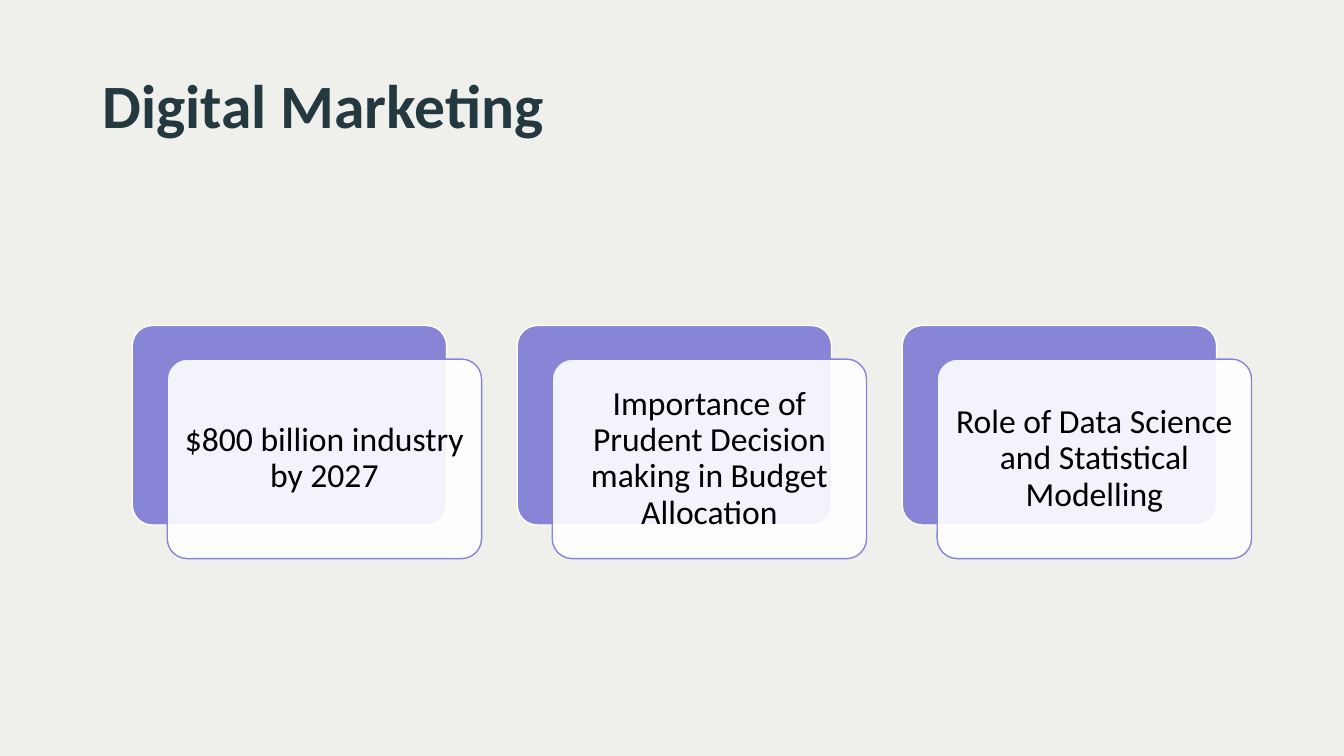
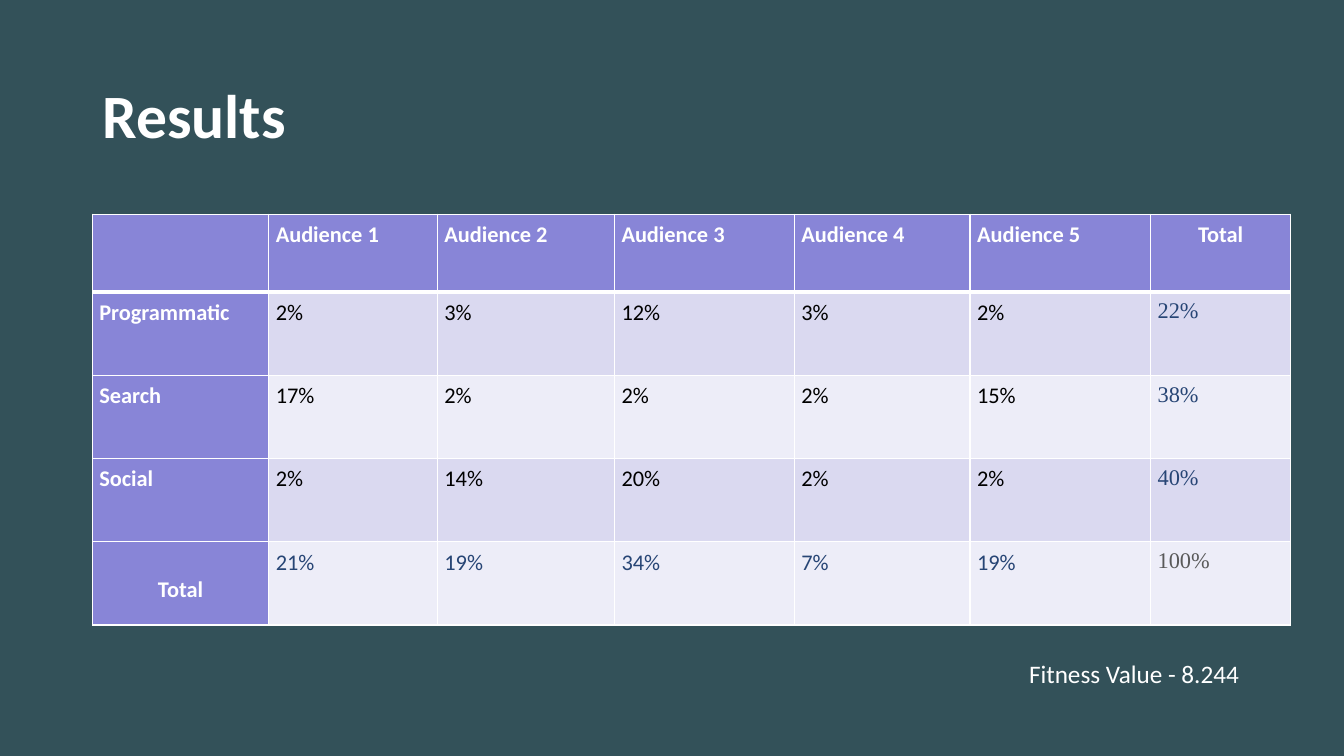
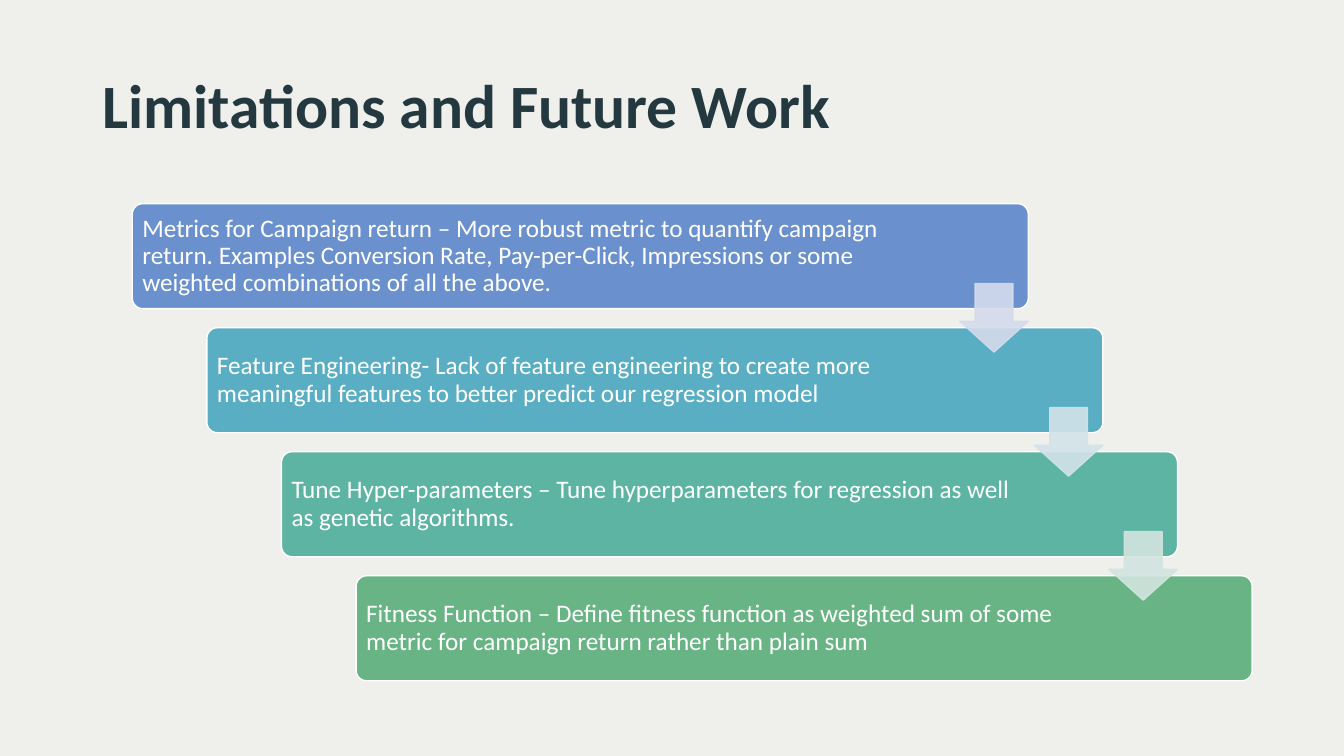
from pptx import Presentation
from pptx.dml.color import RGBColor
from pptx.enum.shapes import MSO_SHAPE
from pptx.enum.text import MSO_ANCHOR, MSO_AUTO_SIZE, PP_ALIGN
from pptx.oxml.ns import qn
from pptx.util import Pt
from lxml import etree

ROUNDED = MSO_SHAPE.ROUNDED_RECTANGLE
DOWN_ARROW = MSO_SHAPE.DOWN_ARROW
TOP, MIDDLE = MSO_ANCHOR.TOP, MSO_ANCHOR.MIDDLE
LEFT, CENTER = PP_ALIGN.LEFT, PP_ALIGN.CENTER
NO_AUTOFIT = MSO_AUTO_SIZE.NONE

COLORS = {
    "light": "EFEFEB", "dark": "335159", "title": "24393F",
    "white": "FFFFFF", "black": "000000", "violet": "8885D7",
    "band_odd": "DAD9F0", "band_even": "EDEDF8",
    "total": "274575", "grand_total": "595959",
    "blue": "6A90CE", "cyan": "5AAEC3", "teal": "5DB4A2", "green": "68B484",
    "pale_blue": "D4DBED", "pale_cyan": "D2E3E9", "pale_teal": "D2E5E0",
}
BODY_FONT = "Calibri"
TOTAL_FONT = "Times New Roman"
TITLE_ONLY = 5

CARDS = [
    "$800 billion industry by 2027",
    "Importance of Prudent Decision making in Budget Allocation",
    "Role of Data Science and Statistical Modelling",
]
RESULTS = [
    ["", "Audience 1", "Audience 2", "Audience 3", "Audience 4", "Audience 5", "Total"],
    ["Programmatic", "2%", "3%", "12%", "3%", "2%", "22%"],
    ["Search", "17%", "2%", "2%", "2%", "15%", "38%"],
    ["Social", "2%", "14%", "20%", "2%", "2%", "40%"],
    ["Total", "21%", "19%", "34%", "7%", "19%", "100%"],
]
COLUMN_WIDTHS = [126, 120.5, 126.5, 128.5, 125.5, 129, 100]
ROW_HEIGHTS = [55.5] + [59.5] * 4
STEPS = [
    ("Metrics for Campaign return – More robust metric to quantify campaign return. "
     "Examples Conversion Rate, Pay-per-Click, Impressions or some weighted "
     "combinations of all the above.", "blue", "pale_blue"),
    ("Feature Engineering- Lack of feature engineering to create more meaningful "
     "features to better predict our regression model", "cyan", "pale_cyan"),
    ("Tune Hyper-parameters – Tune hyperparameters for regression as well as "
     "genetic algorithms.", "teal", "pale_teal"),
    ("Fitness Function – Define fitness function as weighted sum of some metric "
     "for campaign return rather than plain sum", "green", None),
]


def color(name):
    return RGBColor.from_string(COLORS[name])


def place(item, left, top, width, height):
    item.left, item.top = Pt(left), Pt(top)
    item.width, item.height = Pt(width), Pt(height)


def write(frame, text, size=18, ink="white", font=BODY_FONT, bold=False,
          align=LEFT, spacing=1.0):
    para = frame.paragraphs[0]
    para.alignment = align
    para.line_spacing = spacing
    span = para.add_run()
    span.text = text
    span.font.size = Pt(size)
    span.font.name = font
    span.font.bold = bold
    span.font.color.rgb = color(ink)


def set_insets(target, left, top, right, bottom):
    target.margin_left, target.margin_top = Pt(left), Pt(top)
    target.margin_right, target.margin_bottom = Pt(right), Pt(bottom)


def set_background(target, name):
    target.background.fill.solid()
    target.background.fill.fore_color.rgb = color(name)


def add_page(deck, title, top=44, height=101, ink="title", anchor=TOP):
    page = deck.slides.add_slide(deck.slide_layouts[TITLE_ONLY])
    place(page.shapes.title, 66, top, 815, height)
    frame = page.shapes.title.text_frame
    frame.auto_size = NO_AUTOFIT
    frame.vertical_anchor = anchor
    write(frame, title, size=44, ink=ink, bold=True)
    return page


def add_box(page, kind, left, top, width, height, fill, line, adjust, opacity=100):
    box = page.shapes.add_shape(kind, Pt(left), Pt(top), Pt(width), Pt(height))
    box.shadow.inherit = False
    for index, value in enumerate(adjust):
        box.adjustments[index] = value
    box.fill.solid()
    box.fill.fore_color.rgb = color(fill)
    box.line.color.rgb = color(line)
    box.line.width = Pt(1)
    if opacity < 100:
        for node in box.element.spPr.iter(qn("a:srgbClr")):
            if node.get("val") == COLORS[fill]:
                etree.SubElement(node, qn("a:alpha")).set("val", str(opacity * 1000))
    return box


def fill_box(box, text, insets, **style):
    frame = box.text_frame
    frame.word_wrap = True
    frame.vertical_anchor = MIDDLE
    set_insets(frame, *insets)
    write(frame, text, spacing=0.9, **style)


def add_card(page, left, top, text):
    size = (224.5, 142.5)
    add_box(page, ROUNDED, left, top, *size, "violet", "white", [0.1])
    front = add_box(page, ROUNDED, left + 25, top + 24, *size, "white", "violet",
                    [0.1], opacity=90)
    fill_box(front, text, (7.2,) * 4, size=24, ink="black", align=CENTER)


def set_borders(cell, bottom):
    properties = cell._tc.get_or_add_tcPr()
    widths = {"a:lnL": 1, "a:lnR": 1, "a:lnT": 1, "a:lnB": bottom}
    for index, (tag, width) in enumerate(widths.items()):
        line = etree.Element(qn(tag), w=str(Pt(width)))
        solid = etree.SubElement(line, qn("a:solidFill"))
        etree.SubElement(solid, qn("a:srgbClr"), val=COLORS["white"])
        properties.insert(index, line)


def cell_style(row, column):
    last_row, last_column = len(RESULTS) - 1, len(COLUMN_WIDTHS) - 1
    if row == 0 or column == 0:
        is_total = row == last_row or column == last_column
        return {"bold": True, "align": CENTER if is_total else LEFT}
    if column == last_column:
        ink = "grand_total" if row == last_row else "total"
        return {"ink": ink, "font": TOTAL_FONT}
    return {"ink": "total" if row == last_row else "black"}


def add_results_table(page, left, top):
    table = page.shapes.add_table(
        len(RESULTS), len(COLUMN_WIDTHS), Pt(left), Pt(top),
        Pt(sum(COLUMN_WIDTHS)), Pt(sum(ROW_HEIGHTS))).table
    for column, width in zip(table.columns, COLUMN_WIDTHS):
        column.width = Pt(width)
    for row, values in enumerate(RESULTS):
        table.rows[row].height = Pt(ROW_HEIGHTS[row])
        for column, text in enumerate(values):
            cell = table.cell(row, column)
            is_header = row == 0 or column == 0
            band = "band_odd" if row % 2 else "band_even"
            cell.fill.solid()
            cell.fill.fore_color.rgb = color("violet" if is_header else band)
            set_borders(cell, 3 if row == 0 else 1)
            set_insets(cell, 5, 5, 5, 5)
            if text:
                write(cell.text_frame, text, size=16, **cell_style(row, column))
    table.cell(len(RESULTS) - 1, 0).margin_top = Pt(24.5)


def add_label(page, left, top, width, height, text):
    label = page.shapes.add_textbox(Pt(left), Pt(top), Pt(width), Pt(height))
    label.text_frame.word_wrap = True
    write(label.text_frame, text)


def add_staircase(page, left, top, width=640, height=75, arrow=49):
    corners = [(left + 53.3 * i, top + 88.6 * i) for i in range(len(STEPS))]
    for (x, y), (text, fill, _) in zip(corners, STEPS):
        bar = add_box(page, ROUNDED, x, y, width, height, fill, "white", [0.1])
        fill_box(bar, text, (5, 5, 103, 5))
    for (x, y), (_, _, pale) in zip(corners, STEPS):
        if pale:
            add_box(page, DOWN_ARROW, x + width - arrow, y + 57, arrow, arrow,
                    pale, pale, [0.55, 0.45], opacity=90)


def main():
    deck = Presentation()
    deck.slide_width, deck.slide_height = Pt(960), Pt(540)
    set_background(deck.slide_master, "light")

    marketing = add_page(deck, "Digital Marketing")
    for index, text in enumerate(CARDS):
        add_card(marketing, 94.5 + 275 * index, 232.5, text)

    results = add_page(deck, "Results", top=29, height=104, ink="white", anchor=MIDDLE)
    set_background(results, "dark")
    add_results_table(results, 66, 153)
    add_label(results, 728, 466.5, 194.5, 29, "Fitness Value - 8.244")

    future = add_page(deck, "Limitations and Future Work")
    add_staircase(future, 94.5, 145.5)

    deck.save("out.pptx")


if __name__ == "__main__":
    main()
